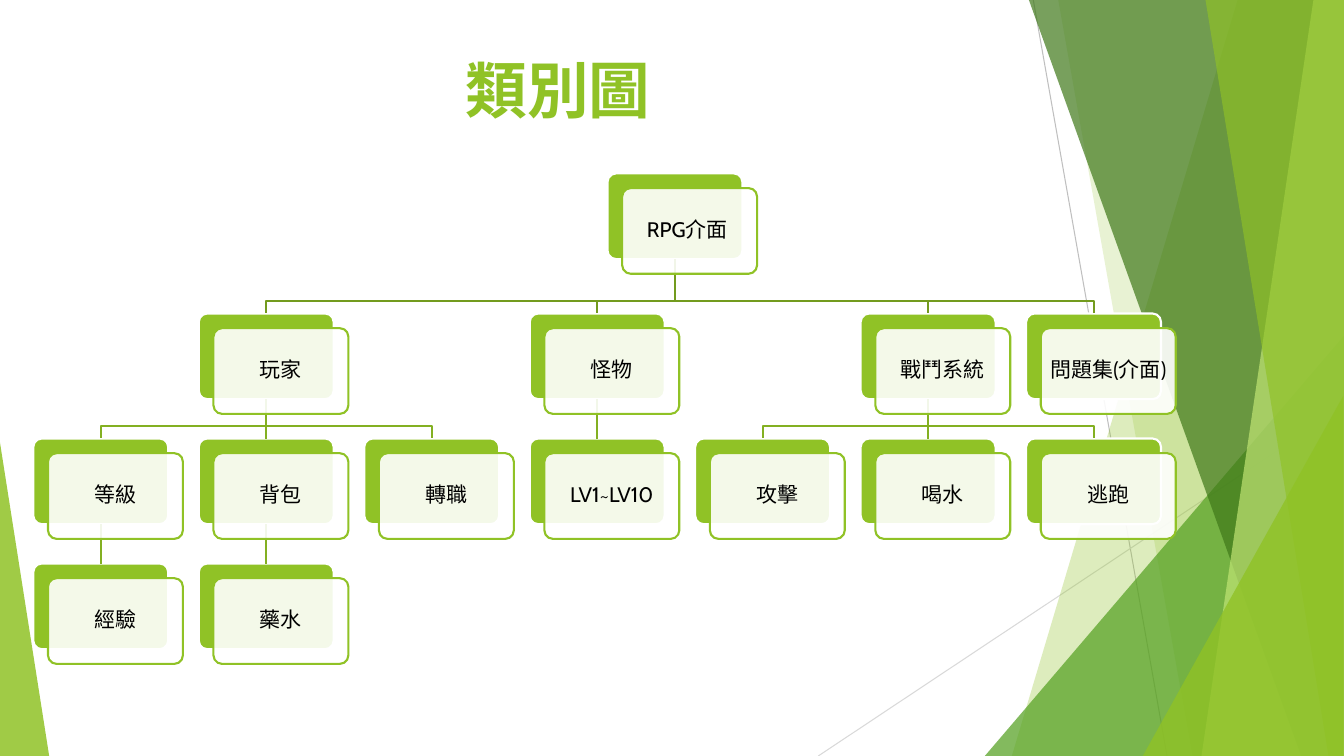
"""Build the class diagram slide of an RPG: a four-level tree of layered boxes."""
from lxml.etree import SubElement
from pptx import Presentation
from pptx.dml.color import RGBColor
from pptx.enum.shapes import MSO_CONNECTOR as Connector, MSO_SHAPE as Shape
from pptx.enum.text import MSO_ANCHOR as Anchor, PP_ALIGN as Align
from pptx.oxml.ns import qn
from pptx.util import Cm, Pt

TITLE = "類別圖"
FONT = "Cabin"
# name: (column, row, parent)
CLASSES = {
    "RPG介面 ": (3.47, 0, None),
    "玩家": (1, 1, "RPG介面 "),
    "等級": (0, 2, "玩家"),
    "經驗": (0, 3, "等級"),
    "背包": (1, 2, "玩家"),
    "藥水": (1, 3, "背包"),
    "轉職": (2, 2, "玩家"),
    "怪物": (3, 1, "RPG介面 "),
    "LV1~LV10": (3, 2, "怪物"),
    "戰鬥系統": (5, 1, "RPG介面 "),
    "攻擊": (4, 2, "戰鬥系統"),
    "喝水": (5, 2, "戰鬥系統"),
    "逃跑": (6, 2, "戰鬥系統"),
    "問題集(介面)": (6, 1, "RPG介面 "),
}
COLOURS = {
    "green": "90C226", "leaf": "54A021", "forest": "3F7819", "lime": "C0E474",
    "upper_link": "739B1E", "lower_link": "83B022", "white": "FFFFFF",
    "black": "000000", "grey": "BFBFBF", "pale_grey": "D9D9D9",
}
RAYS = [("grey", 26.04, 0, 29.41, 19.05), ("pale_grey", 33.87, 10.24, 20.62, 19.05)]
# slant: colour, opacity, (top x, bottom x); triangle: colour, opacity, (left, top, width, peak)
FACETS = [
    ("slant", "green", 30, (31.19, 25.5)),
    ("slant", "green", 20, (26.67, 30.05)),
    ("triangle", "leaf", 72, (24.82, 8.46, 9.05, 1)),
    ("slant", "forest", 70, (25.93, 32.79)),
    ("slant", "lime", 70, (33.1, 30.28)),
    ("slant", "green", 65, (30.38, 33.48)),
    ("triangle", "green", 80, (28.8, 9.98, 5.05, 1)),
    ("triangle", "green", 85, (0, 11.15, 1.24, 0)),
]
WIDTH, HEIGHT = 33.87, 19.05
BOX_W, BOX_H, SHIFT = 3.4, 2.16, 0.37
LEFT, COLUMN_STEP = 0.84, 4.17
ROW_TOPS = [4.37, 7.9, 11.05, 14.2]
BEND = 0.32


def rgb(colour):
    return RGBColor.from_string(COLOURS[colour])


def paint(shape, fill=None, opacity=100, line=None):
    shape.shadow.inherit = False
    if fill:
        shape.fill.solid()
        shape.fill.fore_color.rgb = rgb(fill)
        if opacity < 100:
            solid = shape.fill._xPr.find(qn("a:solidFill"))
            SubElement(solid[0], qn("a:alpha"), val=str(opacity * 1000))
    else:
        shape.fill.background()
    if line:
        shape.line.color.rgb = rgb(line)
        shape.line.width = Pt(1.5)
    else:
        shape.line.fill.background()


def add_path(slide, points, close):
    start, *rest = [(Cm(x), Cm(y)) for x, y in points]
    builder = slide.shapes.build_freeform(*start)
    builder.add_line_segments(rest, close=close)
    return builder.convert_to_shape()


def add_straight(slide, colour, width, ends):
    connector = slide.shapes.add_connector(Connector.STRAIGHT, *map(Cm, ends))
    connector.line.color.rgb = rgb(colour)
    connector.line.width = Pt(width)
    SubElement(connector._element.spPr, qn("a:effectLst"))
    return connector


def add_facet(slide, kind, colour, opacity, geometry):
    if kind == "slant":
        top_x, bottom_x = geometry
        corners = [(top_x, 0), (WIDTH, 0), (WIDTH, HEIGHT), (bottom_x, HEIGHT)]
        facet = add_path(slide, corners, True)
    else:
        left, top, width, peak = geometry
        facet = slide.shapes.add_shape(
            Shape.ISOSCELES_TRIANGLE, Cm(left), Cm(top), Cm(width), Cm(HEIGHT - top))
        facet.adjustments[0] = peak
    paint(facet, colour, opacity)


def corner(name):
    column, row, _ = CLASSES[name]
    return LEFT + column * COLUMN_STEP, ROW_TOPS[row]


def add_box(slide, name, shift):
    left, top = corner(name)
    box = slide.shapes.add_shape(
        Shape.ROUNDED_RECTANGLE, Cm(left + shift), Cm(top + shift), Cm(BOX_W), Cm(BOX_H))
    box.adjustments[0] = 0.1
    return box


def write(frame, text, size, colour, bold=False):
    frame.word_wrap = True
    paragraph = frame.paragraphs[0]
    paragraph.text = text
    paragraph.alignment = Align.CENTER
    font = paragraph.font
    font.name, font.size, font.bold = FONT, Pt(size), bold
    font.color.rgb = rgb(colour)
    return paragraph


def add_link(slide, name, backs):
    column, row, parent = CLASSES[name]
    parent_left, parent_top = corner(parent)
    left, top = corner(name)
    start_x, end_x, start_y = parent_left + BOX_W / 2, left + BOX_W / 2, parent_top + BOX_H
    colour = "upper_link" if row == 1 else "lower_link"
    if column == CLASSES[parent][0]:
        link = add_straight(slide, colour, 1.5, (start_x, start_y, end_x, top))
        link.begin_connect(backs[parent], 2)
        link.end_connect(backs[name], 0)
    else:
        bend_y = top - BEND
        points = [(start_x, start_y), (start_x, bend_y), (end_x, bend_y), (end_x, top)]
        paint(add_path(slide, points, False), line=colour)


def add_card(slide, name):
    card = add_box(slide, name, SHIFT)
    paint(card, "white", 90, "green")
    frame = card.text_frame
    frame.margin_left = frame.margin_right = frame.margin_top = frame.margin_bottom = Cm(0.15)
    frame.vertical_anchor = Anchor.MIDDLE
    write(frame, name, 15, "black").line_spacing = 0.9


def main():
    deck = Presentation()
    deck.slide_width, deck.slide_height = Cm(WIDTH), Cm(HEIGHT)
    slide = deck.slides.add_slide(deck.slide_layouts[6])
    for colour, *ends in RAYS:
        add_straight(slide, colour, 0.75, ends)
    for facet in FACETS:
        add_facet(slide, *facet)

    heading = slide.shapes.add_textbox(Cm(2.21), Cm(1.19), Cm(23.7), Cm(3.07))
    write(heading.text_frame, TITLE, 44, "green", bold=True)

    backs = {name: add_box(slide, name, 0) for name in CLASSES}
    for back in backs.values():
        paint(back, "green", line="white")
    for name, (_, _, parent) in CLASSES.items():
        if parent:
            add_link(slide, name, backs)
    for name in CLASSES:
        add_card(slide, name)
    deck.save("out.pptx")


if __name__ == "__main__":
    main()
